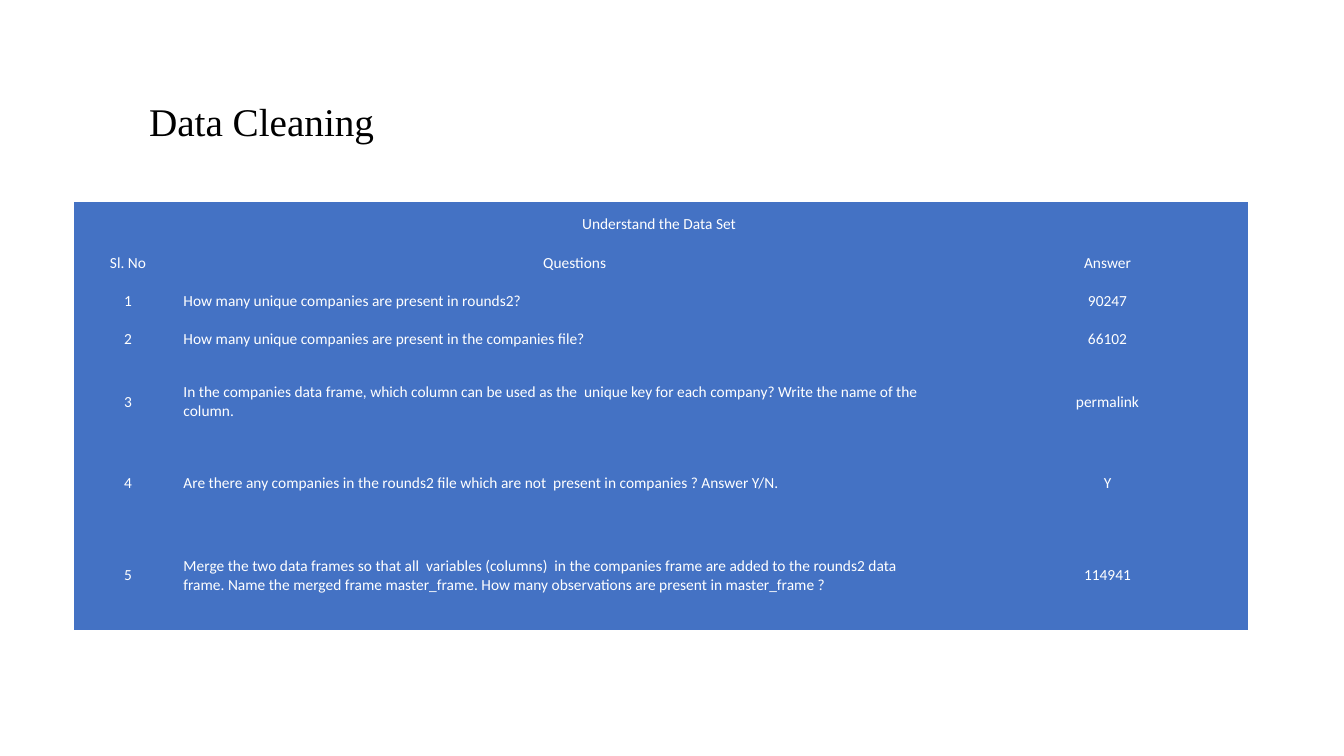
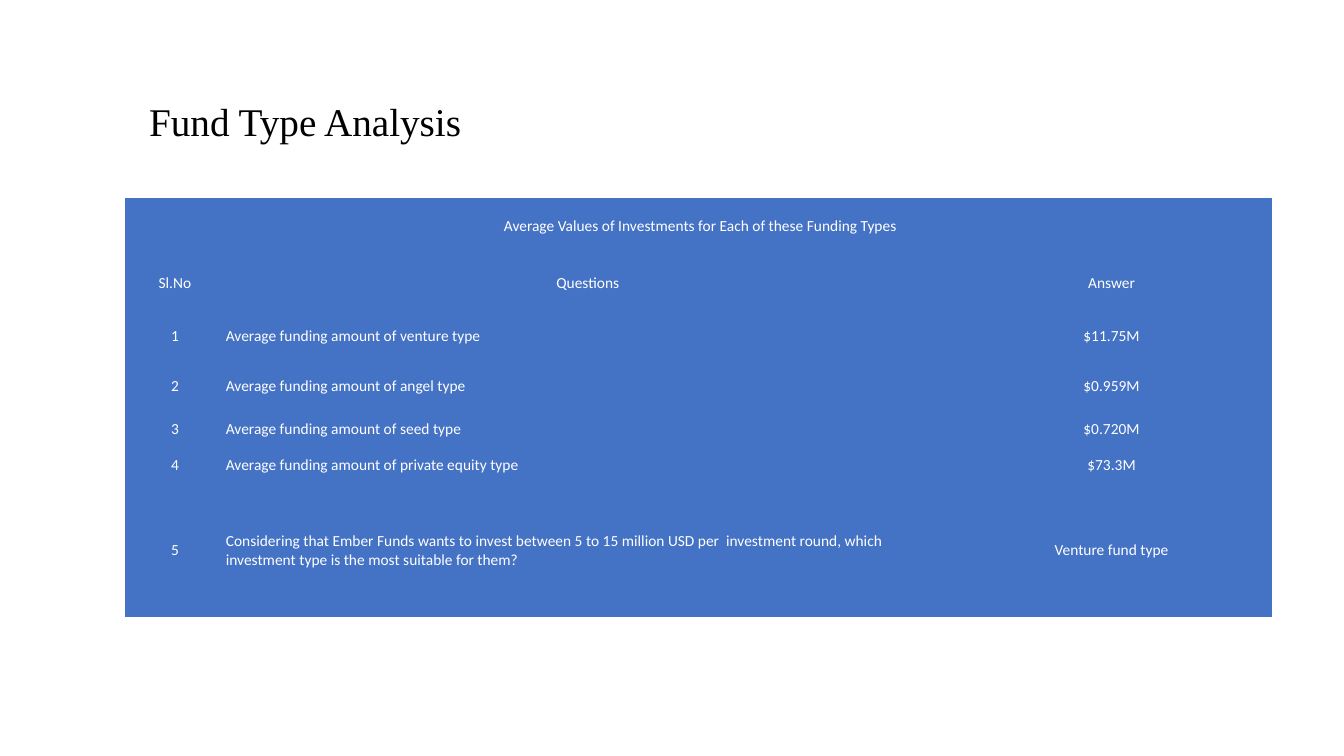
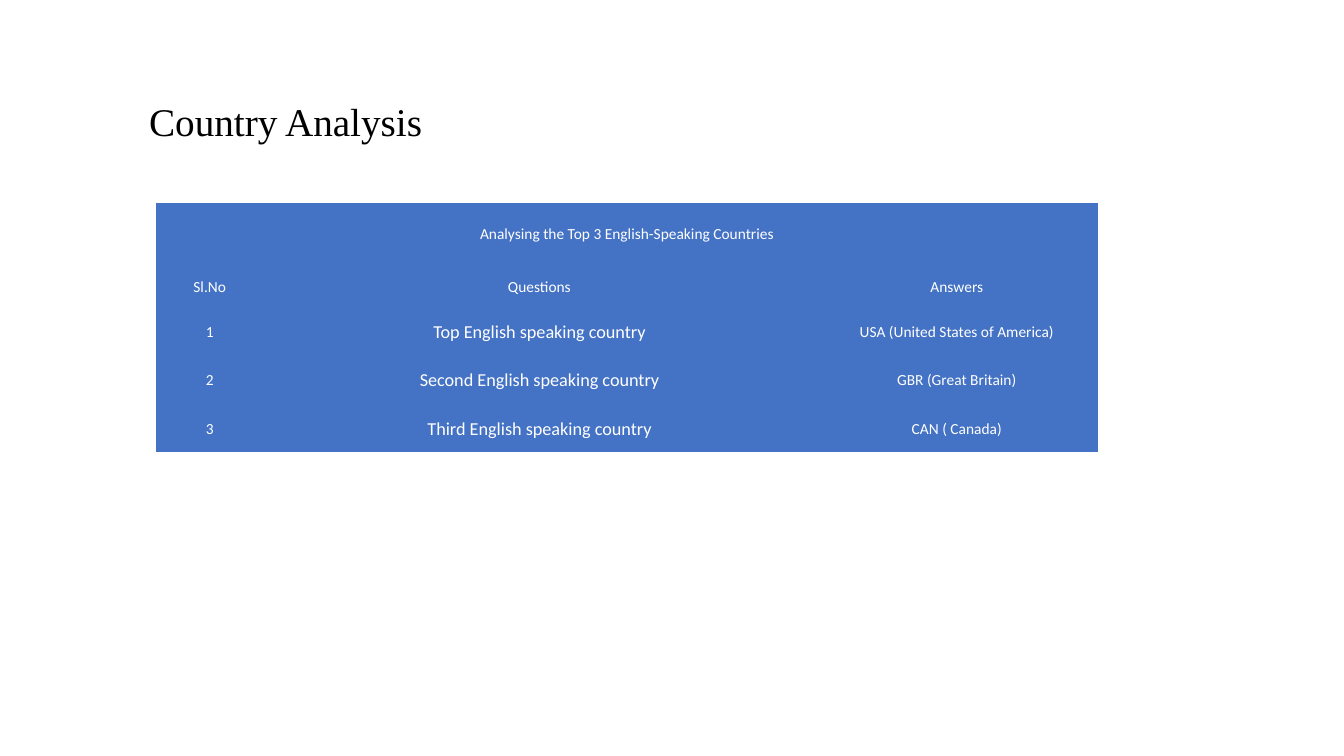
from pptx import Presentation
from pptx.dml.color import RGBColor
from pptx.enum import text as tx
from pptx.util import Inches, Pt

# Shared style
BLUE = RGBColor(0x44, 0x72, 0xC4)
WHITE = RGBColor(0xFF, 0xFF, 0xFF)
BLACK = RGBColor(0, 0, 0)
TITLE_FONT, TABLE_FONT = "Times New Roman", "Calibri"
TITLE_BOX = (1.24, 0.7, 10.19, 0.94)
NO_GRID_STYLE = "{2D5ABB26-0587-4C30-8999-92F81FD0307C}"
LEFT, CENTER = tx.PP_ALIGN.LEFT, tx.PP_ALIGN.CENTER

# Content: answers are numbered in order
SECTIONS = [
    dict(
        title="Data Cleaning",
        heading="Understand the Data Set\u00a0",
        columns=("Sl. No", "Questions", "Answer"),
        answers=[
            ("How many unique companies are present in rounds2?", "90247"),
            ("How many unique companies are present in the companies file?", "66102"),
            ("In the companies data frame, which column can be used as the \u00a0unique key "
             "for each company? Write the name of the column.", "permalink"),
            ("Are there any companies in the rounds2 file which are not \u00a0present "
             "in\u00a0companies ? Answer Y/N.", "Y"),
            ("Merge the two data frames so that all \u00a0variables (columns) \u00a0in the "
             "companies frame are added to the rounds2 data frame.\u00a0Name the merged frame "
             "master_frame.\u00a0How many observations are present in master_frame ?", "114941"),
        ],
        corner=(0.73, 2), widths=(1.08, 7.78, 2.79),
        heights=(0.43, 0.36, 0.38, 0.39, 0.85, 0.75, 1.09),
        question_align=LEFT, question_size=11,
    ),
    dict(
        title="Fund Type Analysis",
        heading=" Average Values of Investments for Each of these Funding Types",
        columns=("Sl.No", "Questions", "Answer"),
        answers=[
            ("Average funding amount of venture type", "$11.75M"),
            ("Average funding amount of angel type", "$0.959M"),
            ("Average funding amount of seed type", "$0.720M"),
            ("Average funding amount of private equity type", "$73.3M"),
            ("Considering that Ember Funds wants to invest between 5 to 15 million USD per "
             "\u00a0investment round, which investment type is the most suitable for them?",
             "Venture fund type"),
        ],
        corner=(1.24, 1.96), widths=(0.99, 7.2, 3.19),
        heights=(0.56, 0.57, 0.49, 0.49, 0.36, 0.36, 1.33),
        question_align=LEFT, question_size=11,
    ),
    dict(
        title="Country Analysis",
        heading="Analysing the Top 3 English-Speaking Countries",
        columns=("Sl.No", "Questions", "Answers"),
        answers=[
            ("Top English speaking country", "USA (United States of America)"),
            ("Second English speaking country", "GBR (Great Britain)"),
            ("Third English speaking country", "CAN ( Canada)"),
        ],
        corner=(1.55, 2.01), widths=(1.06, 5.48, 2.8),
        heights=(0.62, 0.42, 0.48, 0.48, 0.48),
        question_align=CENTER, question_size=13,
    ),
]


def add_run(paragraph, words, font, size, color, bold=False):
    run = paragraph.add_run()
    run.text = words
    run.font.name, run.font.size, run.font.bold = font, Pt(size), bold
    run.font.color.rgb = color


def write_title(slide, words):
    title = slide.shapes.title
    title.left, title.top, title.width, title.height = map(Inches, TITLE_BOX)
    frame = title.text_frame
    frame.word_wrap = True
    frame.auto_size = tx.MSO_AUTO_SIZE.NONE
    frame.vertical_anchor = tx.MSO_ANCHOR.MIDDLE
    line = frame.paragraphs[0]
    line.alignment, line.line_spacing = LEFT, 0.9
    add_run(line, " ", TITLE_FONT, 40, BLACK, bold=True)
    add_run(line, words, TITLE_FONT, 28, BLACK)


def write_cell(cell, words, align=CENTER, size=11):
    cell.fill.solid()
    cell.fill.fore_color.rgb = BLUE
    cell.vertical_anchor = tx.MSO_ANCHOR.MIDDLE
    cell.margin_left = cell.margin_right = cell.margin_top = Inches(0.01)
    cell.margin_bottom = 0
    line = cell.text_frame.paragraphs[0]
    line.alignment = align
    if words:
        add_run(line, words, TABLE_FONT, size, WHITE)


def add_answer_table(slide, section):
    widths, heights = section["widths"], section["heights"]
    extent = (*section["corner"], sum(widths), sum(heights))
    frame = slide.shapes.add_table(len(heights), len(widths), *map(Inches, extent))
    table = frame.table
    table.first_row = table.horz_banding = False
    table._tbl.tblPr.find("{*}tableStyleId").text = NO_GRID_STYLE
    for column, width in zip(table.columns, widths):
        column.width = Inches(width)
    for row, height in zip(table.rows, heights):
        row.height = Inches(height)

    # Heading across all columns, column names, then numbered answers
    numbered = [(str(n), *pair) for n, pair in enumerate(section["answers"], 1)]
    lines = [(section["heading"], "", ""), section["columns"], *numbered]
    for r, line in enumerate(lines):
        for c, words in enumerate(line):
            if r > 1 and c == 1:
                write_cell(table.cell(r, c), words,
                           section["question_align"], section["question_size"])
            else:
                write_cell(table.cell(r, c), words)
    table.cell(0, 0).merge(table.cell(0, len(widths) - 1))


deck = Presentation()
deck.slide_width, deck.slide_height = Inches(13.33), Inches(7.5)
title_only = deck.slide_layouts[5]
for section in SECTIONS:
    slide = deck.slides.add_slide(title_only)
    write_title(slide, section["title"])
    add_answer_table(slide, section)
deck.save("out.pptx")
